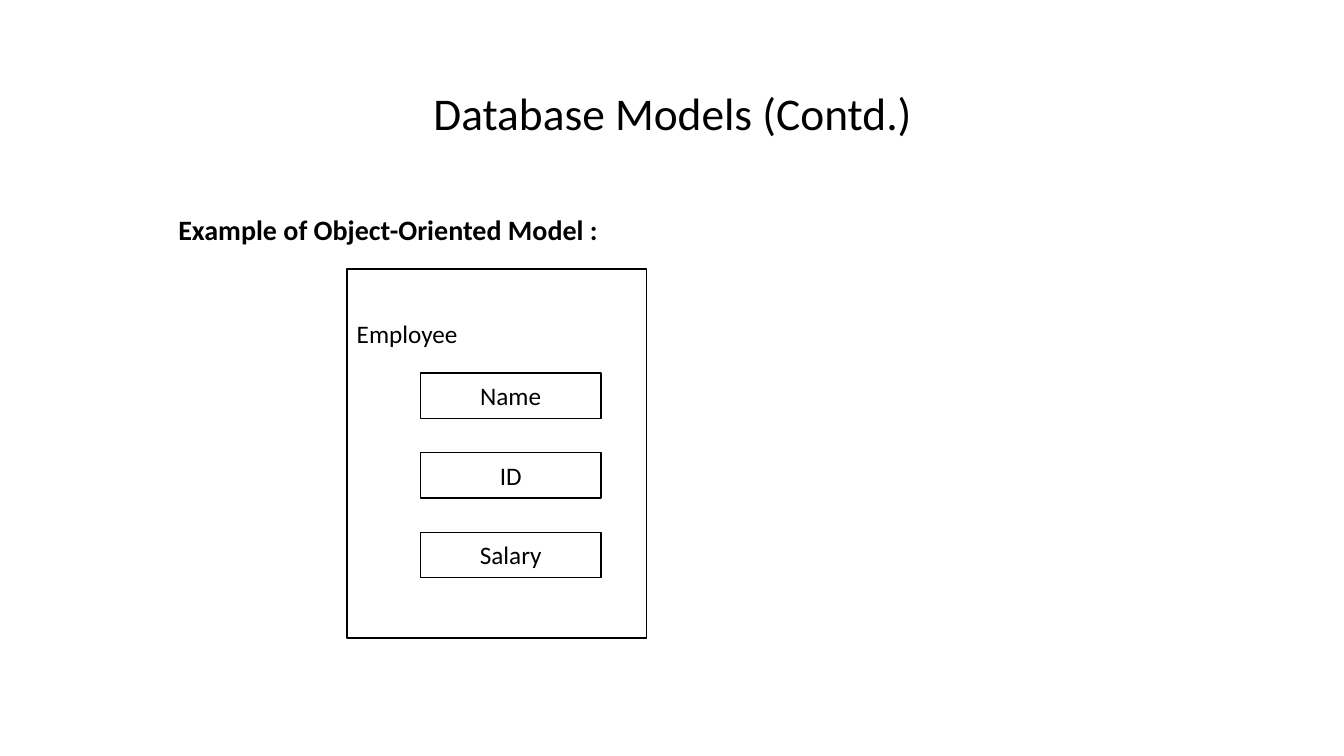
from pptx import Presentation
from pptx.dml.color import RGBColor
from pptx.enum.shapes import MSO_SHAPE
from pptx.enum.text import MSO_ANCHOR, PP_ALIGN
from pptx.util import Inches, Pt

RECTANGLE = MSO_SHAPE.RECTANGLE
TOP, MIDDLE = MSO_ANCHOR.TOP, MSO_ANCHOR.MIDDLE
LEFT, CENTER = PP_ALIGN.LEFT, PP_ALIGN.CENTER
BLACK, WHITE = "000000", "FFFFFF"
TITLE_ONLY = 5

MARGIN, CONTENT_WIDTH = 1.67, 10
ATTRIBUTE_LEFT, ATTRIBUTE_TOP = 4.17, 3.7
ATTRIBUTE_WIDTH, ATTRIBUTE_HEIGHT, ATTRIBUTE_PITCH = 1.79, 0.45, 0.79


def write(shape, text, size, align, anchor, bold=False, spacing=1.0):
    frame = shape.text_frame
    frame.word_wrap = True
    frame.vertical_anchor = anchor
    paragraph = frame.paragraphs[0]
    paragraph.alignment = align
    paragraph.line_spacing = spacing
    run = paragraph.add_run()
    run.text = text
    font_format = {"name": "Calibri", "size": Pt(size), "bold": bold}
    for attribute, value in font_format.items():
        setattr(run.font, attribute, value)
    run.font.color.rgb = RGBColor.from_string(BLACK)


def add_box(left, top, width, height):
    """Add a white rectangle with a thin black outline."""
    box = slide.shapes.add_shape(
        RECTANGLE, Inches(left), Inches(top), Inches(width), Inches(height))
    box.shadow.inherit = False
    box.fill.solid()
    box.fill.fore_color.rgb = RGBColor.from_string(WHITE)
    box.line.color.rgb = RGBColor.from_string(BLACK)
    box.line.width = Pt(1)
    return box


prs = Presentation()
prs.slide_width, prs.slide_height = Inches(13.33), Inches(7.5)
slide = prs.slides.add_slide(prs.slide_layouts[TITLE_ONLY])

# Heading
title = slide.shapes.title
title_place = {"left": MARGIN, "top": 0.6, "width": CONTENT_WIDTH, "height": 1.1}
for side, length in title_place.items():
    setattr(title, side, Inches(length))
write(title, "Database Models (Contd.)", 32.4, CENTER, MIDDLE, spacing=0.9)

subtitle = slide.shapes.add_textbox(
    Inches(MARGIN), Inches(2.1), Inches(CONTENT_WIDTH), Inches(3.65))
write(subtitle, "Example of Object-Oriented Model :", 20, LEFT, TOP,
      bold=True, spacing=0.9)

# Employee object with its attributes
employee = add_box(3.44, 2.67, 2.97, 3.66)
employee.text_frame.margin_top = Inches(0.49)
write(employee, "Employee", 18, LEFT, TOP)

for row, attribute_name in enumerate(["Name", "ID", "Salary"]):
    attribute_box = add_box(
        ATTRIBUTE_LEFT, ATTRIBUTE_TOP + row * ATTRIBUTE_PITCH,
        ATTRIBUTE_WIDTH, ATTRIBUTE_HEIGHT)
    write(attribute_box, attribute_name, 18, CENTER, MIDDLE)

prs.save("out.pptx")
